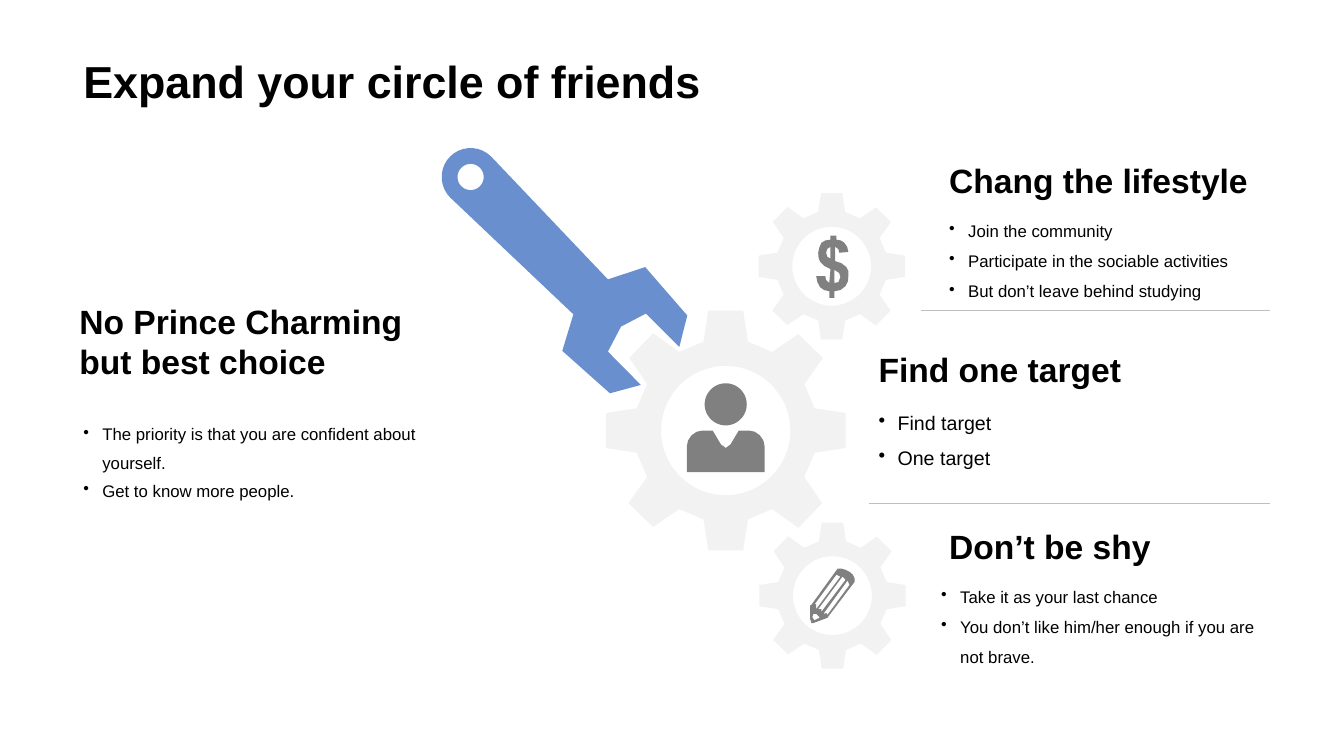
import math
from lxml import etree
from pptx import Presentation
from pptx import util as u
from pptx.dml.color import RGBColor
from pptx.enum import shapes, text
from pptx.oxml.ns import qn

deck = Presentation()
deck.slide_width, deck.slide_height = u.Cm(33.87), u.Cm(19.05)
slide = deck.slides.add_slide(deck.slide_layouts[6])


def paint(fill, tint):
    fill.solid()
    fill.fore_color.rgb = RGBColor.from_string(tint)


def write(words, box, size=12, bold=False, gap=1.0, mark=False):
    frame = slide.shapes.add_textbox(*[u.Cm(v) for v in box]).text_frame
    frame.word_wrap = True
    frame.vertical_anchor = text.MSO_ANCHOR.BOTTOM if bold else text.MSO_ANCHOR.TOP
    frame.text = words
    for para in frame.paragraphs:
        para.line_spacing = gap
        if mark:
            props = para._p.get_or_add_pPr()
            props.set("marL", str(u.Cm(0.48)))
            props.set("indent", str(-u.Cm(0.48)))
            etree.SubElement(props, qn("a:buChar")).set("char", "•")
        para.font.name, para.font.size, para.font.bold = "Arial", u.Pt(size), bold
        paint(para.font.fill, "000000")


write("Expand your circle of friends", (1.85, 0, 30.15, 2.84), size=32, bold=True, gap=0.9)

GRAY, DARK, BLUE = "F2F2F2", "808080", "698FCE"
art = []

teeth = [(0.44, -3.02), (0.56, -2.24), (1.17, -1.98), (1.83, -2.43),
         (2.45, -1.83), (1.98, -1.17), (2.24, -0.56), (3.02, -0.44)]
for x, y, size in [(20.98, 15.01, 0.61), (20.96, 6.71, 0.61), (18.29, 10.85, 1)]:
    gear, turn = [], teeth
    for side in range(4):
        gear += [(px * size, py * size) for px, py in turn]
        turn = [(-py, px) for px, py in turn]
    art.append((GRAY, x, y, [gear], [(0, 0, 1.63 * size)]))

half = [(0.12, 0.35), (0.33, 0), (0.58, 0), (0.73, 0.03), (0.86, 0.12),
        (0.95, 0.25), (0.98, 0.4), (0.98, 1.05)]
torso = [(-px, py) for px, py in reversed(half)] + [(0, 0.44)] + half
art.append((DARK, 18.29, 10.85, [torso], [(0, -0.66, 0.53)]))

grip = [(0.73 * math.cos(math.radians(a)), 0.73 * math.sin(math.radians(a)))
        for a in range(135, 316, 10)]
jaw = [(3.46, 2.58), (4.4, 2.27), (5.46, 3.49), (5.26, 4.28), (4.42, 3.44), (3.79, 3.77),
       (3.46, 4.4), (4.29, 5.24), (3.51, 5.45), (2.31, 4.38), (2.59, 3.46)]
art.append((BLUE, 11.86, 4.46, [grip + jaw], [(0, 0, 0.33)]))

dollar = [
    [(0.33, 1.19), (0.36, 0.84), (0.2, 0.76), (0.1, 0.66), (0.06, 0.56), (0.05, 0.43),
     (0.08, 0.3), (0.13, 0.18), (0.23, 0.12), (0.36, 0.1), (0.36, 0), (0.51, 0),
     (0.51, 0.1), (0.62, 0.12), (0.71, 0.18), (0.78, 0.28), (0.81, 0.41), (0.58, 0.43),
     (0.56, 0.34), (0.48, 0.28), (0.48, 0.64), (0.63, 0.69), (0.76, 0.79), (0.81, 0.89),
     (0.81, 1.02), (0.8, 1.15), (0.74, 1.27), (0.61, 1.37), (0.46, 1.4), (0.46, 1.57),
     (0.33, 1.57), (0.33, 1.4), (0.2, 1.37), (0.1, 1.3), (0.03, 1.17), (0, 1.02),
     (0.23, 1.02), (0.25, 1.12)],
    [(0.36, 0.28), (0.28, 0.33), (0.25, 0.43), (0.28, 0.53), (0.36, 0.58)],
    [(0.46, 1.19), (0.56, 1.17), (0.61, 1.04), (0.58, 0.94), (0.46, 0.86)]]
art.append((DARK, 20.57, 5.94, dollar, []))

pencil = [
    [(0.99, 0.08), (0.89, 0.03), (0.79, 0), (0.69, 0), (0.58, 0.15), (0.03, 0.91),
     (0, 0.93), (0, 1.27), (0.03, 1.37), (0.08, 1.37), (0.43, 1.24), (1.02, 0.46),
     (1.12, 0.33), (1.12, 0.25), (1.07, 0.15)],
    [(0.43, 1.17), (0.41, 1.12), (0.33, 1.14), (0.94, 0.3), (0.99, 0.41)],
    [(0.23, 1.24), (0.1, 1.3), (0.05, 1.22), (0.08, 1.14), (0.15, 1.14), (0.23, 1.22)],
    [(0.66, 0.15), (0.76, 0.2), (0.15, 1.02), (0.15, 0.89), (0.1, 0.91)],
    [(0.28, 1.09), (0.28, 1.02), (0.2, 1.02), (0.81, 0.2), (0.89, 0.28)]]
art.append((DARK, 20.42, 14.33, pencil, []))

for tint, x, y, rings, rounds in art:
    for cx, cy, r in rounds:
        turns = [math.radians(a) for a in range(0, 360, 6)]
        rings = rings + [[(cx + r * math.cos(a), cy + r * math.sin(a)) for a in turns]]
    pen = None
    for ring in rings:
        dots = [(u.Cm(x + px), u.Cm(y + py)) for px, py in ring]
        if pen is None:
            pen = slide.shapes.build_freeform(*dots[0])
        else:
            pen.move_to(*dots[0])
        pen.add_line_segments(dots[1:], close=True)
    form = pen.convert_to_shape()
    form.shadow.inherit = False
    form.line.fill.background()
    paint(form.fill, tint)

heads = [
    ("No Prince Charming\nbut best choice", (1.75, 6.96, 10.85, 2.77)),
    ("Chang the lifestyle", (23.67, 3.96, 8.31, 1.22)),
    ("Find one target", (21.89, 8.71, 8.31, 1.22)),
    ("Don’t be shy", (23.67, 13.18, 8.31, 1.22))]
for words, box in heads:
    write(words, box, size=24, bold=True)

lists = [
    ("The priority is that you are confident about yourself.\nGet to know more people.",
     (1.85, 10.36, 9.98, 2.41), 12, 1.4),
    ("Join the community\nParticipate in the sociable activities\n"
     "But don’t leave behind studying", (23.67, 5.18, 8.31, 2.64), 12, 1.5),
    ("Find target\nOne target", (21.89, 9.93, 8.31, 1.96), 14, 1.5),
    ("Take it as your last chance\nYou don’t like him/her enough if you are not brave.",
     (23.47, 14.4, 8.53, 2.44), 12, 1.5)]
for words, box, size, gap in lists:
    write(words, box, size=size, gap=gap, mark=True)

for left, y in [(23.22, 7.82), (21.89, 12.67)]:
    rule = slide.shapes.add_connector(
        shapes.MSO_CONNECTOR.STRAIGHT, u.Cm(left), u.Cm(y), u.Cm(32), u.Cm(y))
    rule.line.width = u.Pt(0.25)
    paint(rule.line.fill, "BFBFBF")
    etree.SubElement(rule._element.spPr, qn("a:effectLst"))

deck.save("out.pptx")
